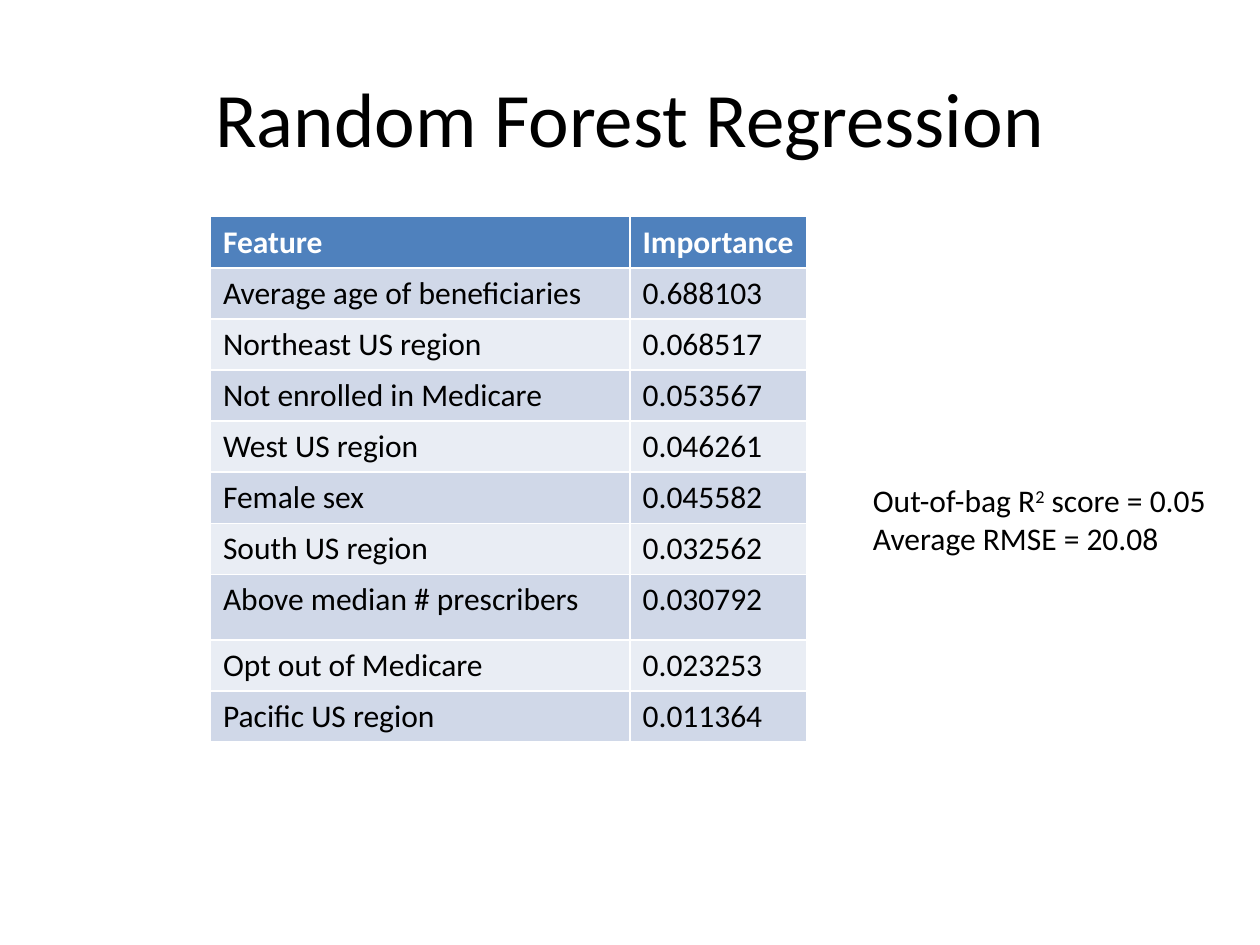
from pptx import Presentation
from pptx.dml.color import RGBColor
from pptx.enum.text import MSO_ANCHOR, MSO_AUTO_SIZE, PP_ALIGN
from pptx.util import Inches, Pt

CENTER = PP_ALIGN.CENTER
MIDDLE = MSO_ANCHOR.MIDDLE
GROW = MSO_AUTO_SIZE.SHAPE_TO_FIT_TEXT

BLACK = RGBColor(0x00, 0x00, 0x00)
WHITE = RGBColor(0xFF, 0xFF, 0xFF)
BLUE = RGBColor(0x4F, 0x81, 0xBD)
BANDS = (RGBColor(0xE9, 0xED, 0xF4), RGBColor(0xD0, 0xD8, 0xE8))

BODY = {"name": "Calibri", "size": Pt(18), "bold": False}
HEAD = {**BODY, "bold": True}
TITLE = {**BODY, "size": Pt(44)}

TABLE_BOX = (1.67, 1.72, 4.73, 4.17)
WIDTHS = (3.33, 1.4)
TALL_ROW = 7
TALL = 0.52
ROWS = (
    ("Feature", "Importance"),
    ("Average age of beneficiaries", "0.688103"),
    ("Northeast US region", "0.068517"),
    ("Not enrolled in Medicare", "0.053567"),
    ("West US region", "0.046261"),
    ("Female sex", "0.045582"),
    ("South US region", "0.032562"),
    ("Above median # prescribers", "0.030792"),
    ("Opt out of Medicare", "0.023253"),
    ("Pacific US region", "0.011364"),
)
SCORES = (
    (("Out-of-bag R", 0), ("2", 30), (" score = 0.05", 0)),
    (("Average RMSE = 20.08", 0),),
)


def set_all(item, values):
    for name, value in values.items():
        setattr(item, name, value)


def add_run(para, text, style, color=BLACK, raise_by=0):
    run = para.add_run()
    run.text = text
    set_all(run.font, style)
    run.font.color.rgb = color
    if raise_by:
        run.font._element.set("baseline", str(raise_by * 1000))


def add_title(slide, text):
    title = slide.shapes.title
    set_all(title, {"left": Inches(0.5), "top": Inches(0.3),
                    "width": Inches(9), "height": Inches(1.25)})
    title.text_frame.vertical_anchor = MIDDLE
    para = title.text_frame.paragraphs[0]
    para.alignment = CENTER
    add_run(para, text, TITLE)


def add_grid(slide, rows):
    box = [Inches(value) for value in TABLE_BOX]
    table = slide.shapes.add_table(len(rows), len(WIDTHS), *box).table
    for column, width in zip(table.columns, WIDTHS):
        column.width = Inches(width)
    height = (box[3] - Inches(TALL)) // (len(rows) - 1)
    for index, texts in enumerate(rows):
        is_tall = index == TALL_ROW
        table.rows[index].height = Inches(TALL) if is_tall else height
        style, color, fill = HEAD, WHITE, BLUE
        if index:
            style, color, fill = BODY, BLACK, BANDS[index % 2]
        for cell, text in zip(table.rows[index].cells, texts):
            cell.fill.solid()
            cell.fill.fore_color.rgb = fill
            add_run(cell.text_frame.paragraphs[0], text, style, color)


def add_scores(slide, lines):
    box = slide.shapes.add_textbox(
        Inches(6.83), Inches(3.77), Inches(2.9), Inches(0.71))
    frame = box.text_frame
    set_all(frame, {"word_wrap": False, "auto_size": GROW})
    for index, line in enumerate(lines):
        para = frame.add_paragraph() if index else frame.paragraphs[0]
        for text, raise_by in line:
            add_run(para, text, BODY, raise_by=raise_by)


def main():
    deck = Presentation()
    set_all(deck, {"slide_width": Inches(10), "slide_height": Inches(7.5)})
    slide = deck.slides.add_slide(deck.slide_layouts[5])
    add_title(slide, "Random Forest Regression")
    add_grid(slide, ROWS)
    add_scores(slide, SCORES)
    deck.save("out.pptx")


if __name__ == "__main__":
    main()
